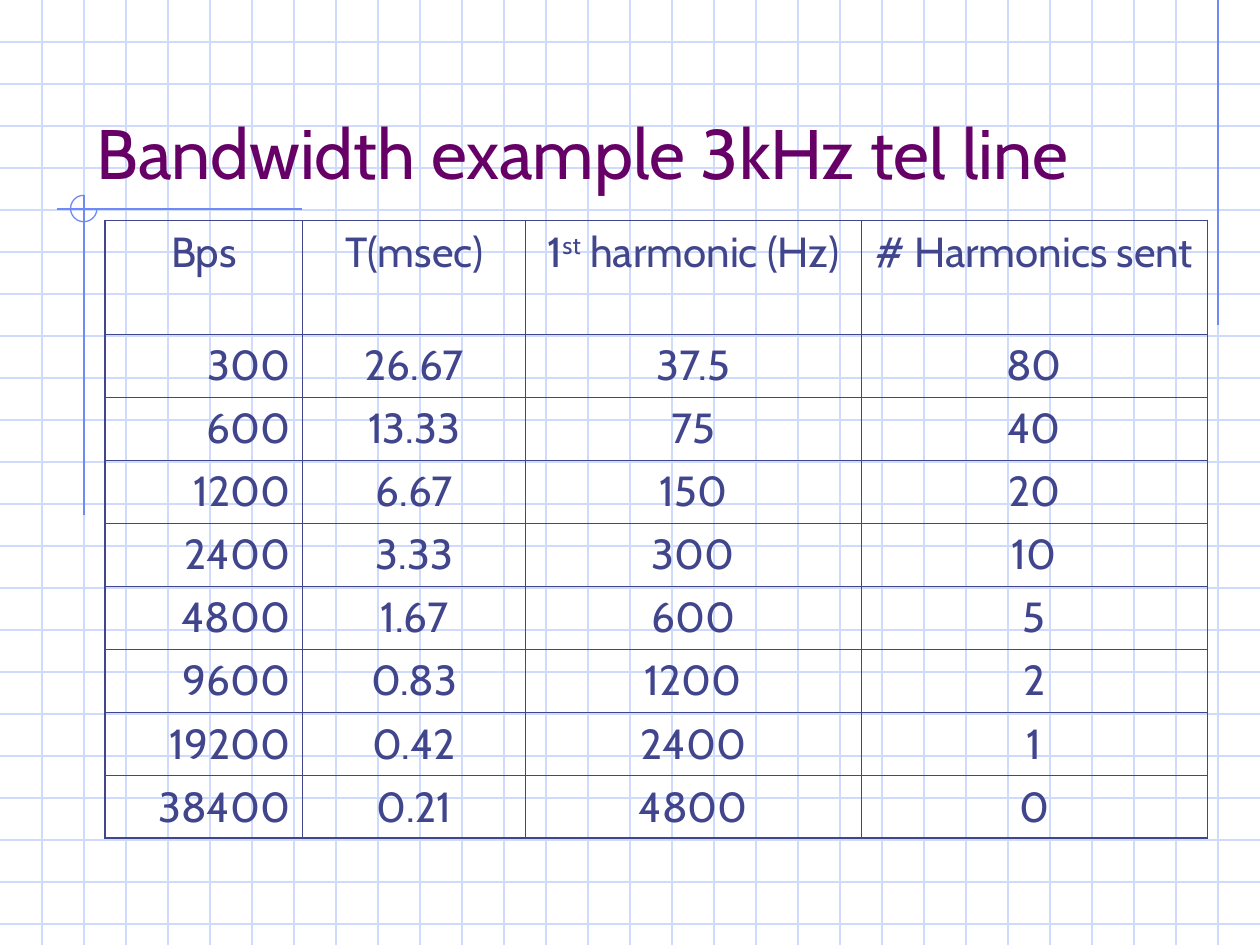
from typing import NamedTuple

from lxml import etree
from pptx import Presentation
from pptx.dml.color import RGBColor
from pptx.enum.shapes import MSO_CONNECTOR, MSO_SHAPE
from pptx.enum.text import MSO_ANCHOR, PP_ALIGN
from pptx.oxml.ns import qn
from pptx.util import Inches, Pt

STRAIGHT = MSO_CONNECTOR.STRAIGHT
ARC = MSO_SHAPE.ARC
BOTTOM = MSO_ANCHOR.BOTTOM
CENTER, RIGHT = PP_ALIGN.CENTER, PP_ALIGN.RIGHT

PALE = RGBColor(0xCF, 0xDB, 0xFD)
BLUE = RGBColor(0x6F, 0x89, 0xF7)
NAVY = RGBColor(0x40, 0x45, 0x8C)
PLUM = RGBColor(0x66, 0x00, 0x66)

FONT = "Cabin"
COLS, ROWS = 30, 22.5
CELL = Inches(10) / COLS
THIN, THICK = 0.45, 1.08
WIDTHS = (4.71, 5.31, 7.98, 8.25)
HEAD, BODY = 2.7, 1.5

DATA = (
    (("Bps",), ("T(msec)",), ("1", "st", " harmonic (Hz)"), ("# Harmonics sent",)),
    (("300",), ("26.67",), ("37.5",), ("80",)),
    (("600",), ("13.33",), ("75",), ("40",)),
    (("1200",), ("6.67",), ("150",), ("20",)),
    (("2400",), ("3.33",), ("300",), ("10",)),
    (("4800",), ("1.67",), ("600",), ("5",)),
    (("9600",), ("0.83",), ("1200",), ("2",)),
    (("19200",), ("0.42",), ("2400",), ("1",)),
    (("38400",), ("0.21",), ("4800",), ("0",)),
)


class Box(NamedTuple):
    """Left, top, width and height in grid cells."""

    x: float
    y: float
    w: float
    h: float


class Rule(NamedTuple):
    """A straight line between two grid points."""

    x1: float
    y1: float
    x2: float
    y2: float
    color: RGBColor


TITLE = Box(2, 1, 25.5, 3.75)
RING = Box(1.68, 4.65, 0.63, 0.63)
TABLE = Box(2.5, 5.25, sum(WIDTHS), HEAD + BODY * (len(DATA) - 1))
RULES = (
    [Rule(0, row, COLS, row, PALE) for row in range(1, 23)]
    + [Rule(col, 0, col, ROWS, PALE) for col in range(1, COLS)]
    + [
        Rule(29, 0, 29, 7.74, BLUE),
        Rule(7.2, 4.98, 1.35, 4.98, BLUE),
        Rule(2, 4.65, 2, 12.27, BLUE),
    ]
)


def scale(units) -> list[int]:
    """Turn grid cells into slide lengths."""
    return [round(unit * CELL) for unit in units]


def style(run, size: float, color: RGBColor) -> None:
    """Set the font of a run."""
    run.font.name = FONT
    run.font.size = Pt(size)
    run.font.color.rgb = color


def draw_rule(slide, rule: Rule) -> None:
    """Draw one line without a shadow."""
    line = slide.shapes.add_connector(STRAIGHT, *scale(rule[:4]))
    line.line.color.rgb = rule.color
    line.line.width = Pt(0.75)
    etree.SubElement(line._element.spPr, qn("a:effectLst"))


def draw_ring(slide, box: Box) -> None:
    """Draw the three-quarter ring at the crossing."""
    ring = slide.shapes.add_shape(ARC, *scale(box))
    ring.adjustments[0] = 0
    ring.adjustments[1] = 162
    ring.shadow.inherit = False
    ring.fill.background()
    ring.line.color.rgb = BLUE
    ring.line.width = Pt(0.75)


def draw_title(slide, box: Box) -> None:
    """Write the heading."""
    frame = slide.shapes.add_textbox(*scale(box)).text_frame
    frame.word_wrap = True
    frame.vertical_anchor = BOTTOM
    frame.text = "Bandwidth example 3kHz tel line"
    style(frame.paragraphs[0].runs[0], 40, PLUM)


def set_edge(cell, side: str, width: float) -> None:
    """Draw one border of a table cell."""
    props = cell._tc.get_or_add_tcPr()
    line = etree.SubElement(props, qn(f"a:ln{side}"), w=str(Pt(width)))
    fill = etree.SubElement(line, qn("a:solidFill"))
    etree.SubElement(fill, qn("a:srgbClr"), val=str(NAVY))


def fill_cell(cell, parts: tuple[str, ...], align: PP_ALIGN) -> None:
    """Write the parts of a cell, the second one raised."""
    para = cell.text_frame.paragraphs[0]
    para.alignment = align
    para.space_before = Pt(6)
    for index, part in enumerate(parts):
        run = para.add_run()
        run.text = part
        style(run, 24, NAVY)
        if index == 1:
            run._r.get_or_add_rPr().set("baseline", "30000")


def draw_table(slide, box: Box) -> None:
    """Draw the table of rates and harmonics."""
    last_row, last_col = len(DATA) - 1, len(WIDTHS) - 1
    table = slide.shapes.add_table(len(DATA), len(WIDTHS), *scale(box)).table
    table.first_row = table.horz_banding = False
    for col, width in zip(table.columns, scale(WIDTHS)):
        col.width = width
    for r, texts in enumerate(DATA):
        table.rows[r].height = round((BODY if r else HEAD) * CELL)
        for c, parts in enumerate(texts):
            cell = table.cell(r, c)
            fill_cell(cell, parts, RIGHT if r and c == 0 else CENTER)
            outer = {"L": c == 0, "R": c == last_col, "T": r == 0, "B": r == last_row}
            for side, edge in outer.items():
                set_edge(cell, side, THICK if edge else THIN)
            cell.fill.background()


def main() -> None:
    """Build and save the slide."""
    deck = Presentation()
    deck.slide_width, deck.slide_height = scale((COLS, ROWS))
    slide = deck.slides.add_slide(deck.slide_layouts[6])
    for rule in RULES:
        draw_rule(slide, rule)
    draw_ring(slide, RING)
    draw_title(slide, TITLE)
    draw_table(slide, TABLE)
    deck.save("out.pptx")


if __name__ == "__main__":
    main()
